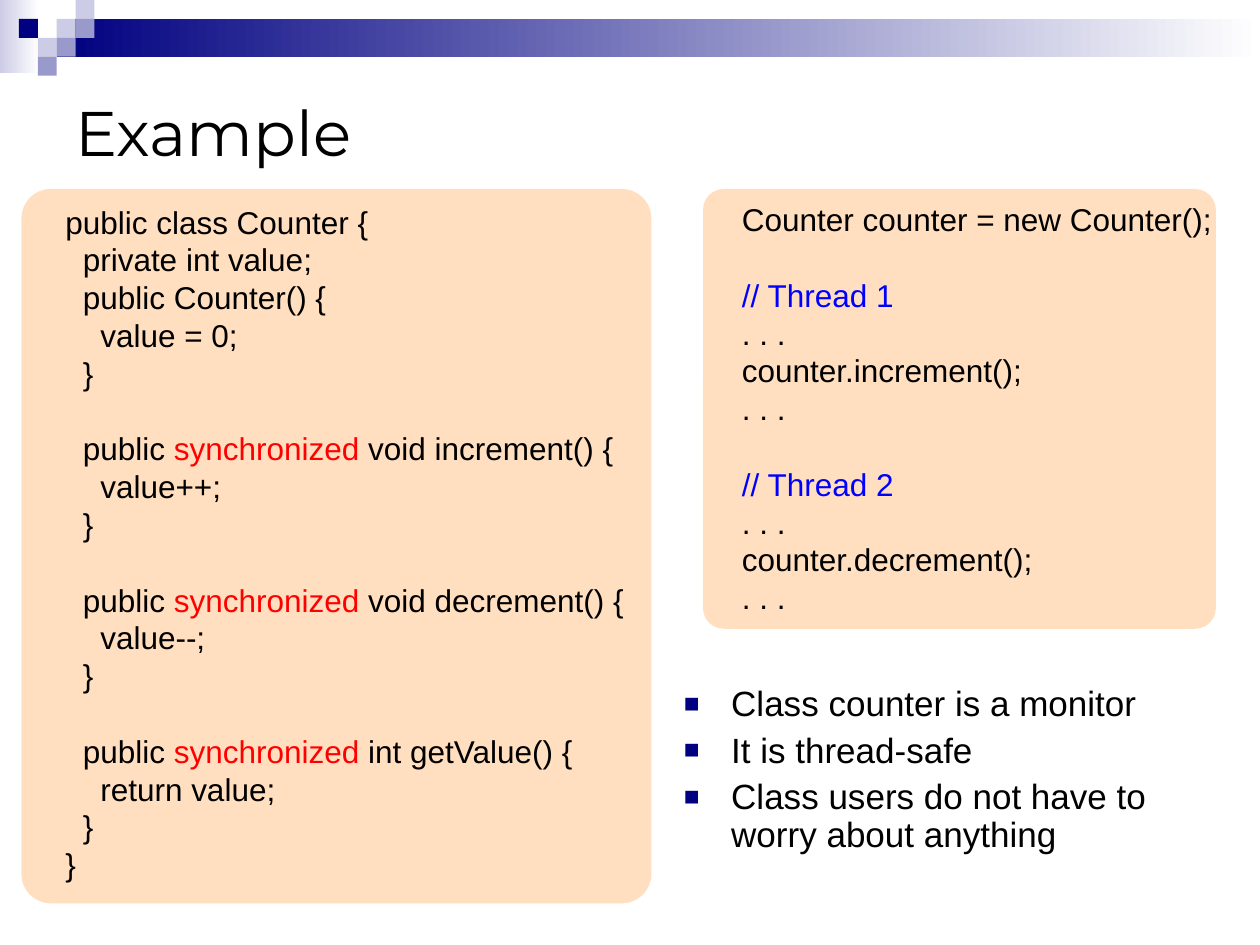
from lxml import etree
from pptx import Presentation
from pptx.dml.color import RGBColor
from pptx.enum.shapes import MSO_SHAPE
from pptx.enum.text import MSO_ANCHOR, PP_ALIGN
from pptx.oxml.ns import qn
from pptx.util import Inches, Pt

RECTANGLE, ROUNDED = MSO_SHAPE.RECTANGLE, MSO_SHAPE.ROUNDED_RECTANGLE
LEFT, TOP, MIDDLE = PP_ALIGN.LEFT, MSO_ANCHOR.TOP, MSO_ANCHOR.MIDDLE
BLACK, RED, BLUE, NAVY = "000000", "FF0000", "0000FF", "000080"
LAVENDER, VIOLET, WHITE, ORANGE = "CCCCE6", "9999CC", "FFFFFF", "FF8000"

CELL = 0.15            # side of a header mosaic square, inches
LINE_HEIGHT = 21.6     # code line pitch, points
CODE_INDENT = 10       # one code nesting level, points
KEYWORD = "synchronized"

TITLE = "Example"
GRADIENT_BARS = [((0, 0, 0.31, 0.58), LAVENDER),
                 ((3 * CELL, CELL, 10 - 3 * CELL, 2 * CELL), NAVY)]
MOSAIC = [(3, 1, LAVENDER), (4, 0, LAVENDER), (4, 1, VIOLET), (2, 2, LAVENDER),
          (1, 1, NAVY), (3, 2, VIOLET), (2, 3, VIOLET)]  # column, row, colour


def method(signature, body):
    """Return the code lines of one synchronized method, after a gap."""
    return [None, (1, f"public {KEYWORD} {signature} {{"), (2, body), (1, "}")]


# Each code line is (nesting level, text); None is a one-line gap.
CLASS_CODE = [(0, "public class Counter {"), (1, "private int value;"),
              (1, "public Counter() {"), (2, "value = 0;"), (1, "}"),
              *method("void increment()", "value++;"),
              *method("void decrement()", "value--;"),
              *method("int getValue()", "return value;"), (0, "}")]
THREAD_CODE = [(0, "Counter counter = new Counter();")]
for number, action in enumerate(("increment", "decrement"), 1):
    THREAD_CODE += [None, (0, f"// Thread {number}"), (0, ". . ."),
                    (0, f"counter.{action}();"), (0, ". . .")]

# Panel box, text box, code lines
PANELS = [((0.17, 1.5, 5, 5.67), (0.42, 1.56, 4.63, 5.5), CLASS_CODE),
          ((5.58, 1.5, 4.07, 3.49), (5.79, 1.54, 3.93, 3.4), THREAD_CODE)]
BULLETS = ["Class counter is a monitor", "It is thread-safe",
           "Class users do not have to worry about anything"]


def colour(value):
    """Turn a hex string into a colour."""
    return RGBColor.from_string(value)


def add_block(slide, box, kind, fill, fade_to=None, alpha=None):
    """Add a borderless shape with a solid, see-through or gradient fill."""
    shape = slide.shapes.add_shape(kind, *map(Inches, box))
    shape.shadow.inherit = False
    shape.line.fill.background()
    if fade_to:
        shape.fill.gradient()
        shape.fill.gradient_angle = 0
        for stop, value in zip(shape.fill.gradient_stops, (fill, fade_to)):
            stop.color.rgb = colour(value)
    else:
        shape.fill.solid()
        shape.fill.fore_color.rgb = colour(fill)
    if alpha:
        solid = shape._element.spPr.find(qn("a:solidFill"))
        etree.SubElement(solid[0], qn("a:alpha"), val=str(alpha * 1000))
    return shape


def add_run(paragraph, text, size, value=BLACK, font="Arial"):
    """Add one formatted run."""
    run = paragraph.add_run()
    run.text = text
    run.font.size, run.font.name = Pt(size), font
    run.font.color.rgb = colour(value)


def add_text_box(slide, box, wrap):
    """Add an empty text box and return its text frame."""
    frame = slide.shapes.add_textbox(*map(Inches, box)).text_frame
    frame.word_wrap, frame.vertical_anchor = wrap, TOP
    return frame


def next_paragraph(frame, index, margin, indent=0):
    """Return the paragraph for an item, with its indents set in points."""
    paragraph = frame.add_paragraph() if index else frame.paragraphs[0]
    paragraph.alignment = LEFT
    properties = paragraph._p.get_or_add_pPr()
    properties.set("marL", str(Pt(margin)))
    properties.set("indent", str(Pt(indent)))
    return paragraph


def add_code(slide, box, lines):
    """Write code with indented levels, gaps and coloured words."""
    frame = add_text_box(slide, box, False)
    for index, line in enumerate(lines):
        if line is None:
            continue
        level, text = line
        paragraph = next_paragraph(frame, index, level * CODE_INDENT)
        paragraph.line_spacing = Pt(LINE_HEIGHT)
        if index and lines[index - 1] is None:
            paragraph.space_before = Pt(LINE_HEIGHT)
        before, keyword, after = text.partition(KEYWORD)
        add_run(paragraph, before, 18, BLUE if text.startswith("//") else BLACK)
        if keyword:
            add_run(paragraph, keyword, 18, RED)
            add_run(paragraph, after, 18)


def add_bullets(slide, box, items):
    """Write a list with small square bullets."""
    frame = add_text_box(slide, box, True)
    for index, text in enumerate(items):
        paragraph = next_paragraph(frame, index, 27, -27)
        paragraph.line_spacing, paragraph.space_before = 0.9, Pt(5)
        properties = paragraph._p.get_or_add_pPr()
        bullet_colour = etree.SubElement(properties, qn("a:buClr"))
        etree.SubElement(bullet_colour, qn("a:srgbClr"), val=NAVY)
        etree.SubElement(properties, qn("a:buSzPct"), val="75000")
        etree.SubElement(properties, qn("a:buFont"), typeface="Arial")
        etree.SubElement(properties, qn("a:buChar"), char="■")
        add_run(paragraph, text, 20)


def set_title(slide, text, box):
    """Move and format the title placeholder."""
    title = slide.shapes.title
    title.left, title.top, title.width, title.height = map(Inches, box)
    title.text_frame.vertical_anchor = MIDDLE
    paragraph = title.text_frame.paragraphs[0]
    paragraph.alignment = LEFT
    add_run(paragraph, text, 36, font="Montserrat")


presentation = Presentation()
presentation.slide_width, presentation.slide_height = Inches(10), Inches(7.5)
slide = presentation.slides.add_slide(presentation.slide_layouts[5])

for bar_box, start in GRADIENT_BARS:
    add_block(slide, bar_box, RECTANGLE, start, fade_to=WHITE)
for column, row, value in MOSAIC:
    add_block(slide, (column * CELL, row * CELL, CELL, CELL), RECTANGLE, value)
set_title(slide, TITLE, (0.5, 0.42, 9, 1.25))
for panel_box, text_box, code in PANELS:
    panel = add_block(slide, panel_box, ROUNDED, ORANGE, alpha=25)
    panel.adjustments[0] = 0.047
    add_code(slide, text_box, code)
add_bullets(slide, (5.33, 5.4, 4.5, 1.67), BULLETS)

presentation.save("out.pptx")
